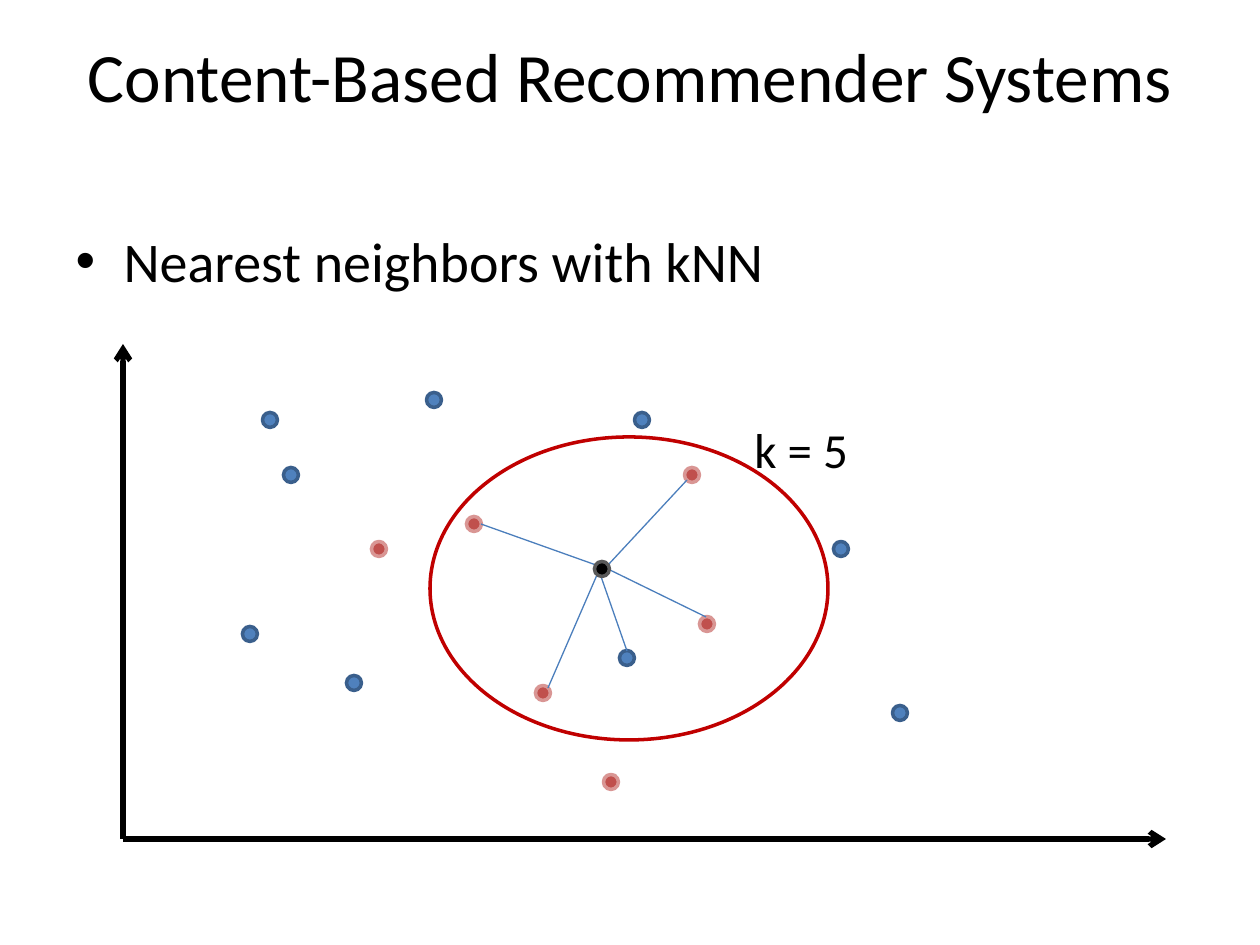
from lxml import etree
from pptx import Presentation
from pptx.dml.color import RGBColor
from pptx.enum.shapes import MSO_CONNECTOR, MSO_SHAPE
from pptx.enum.text import MSO_ANCHOR, PP_ALIGN
from pptx.oxml.ns import qn
from pptx.util import Emu, Pt

LINE = MSO_CONNECTOR.STRAIGHT
OVAL = MSO_SHAPE.OVAL
MIDDLE = MSO_ANCHOR.MIDDLE
LEFT, CENTER = PP_ALIGN.LEFT, PP_ALIGN.CENTER
SCALE = 914400 / 126
FONT = "Calibri"
BLACK = "000000"
BLUE = ("4F81BD", "3A5F8C")
RED = ("C0504D", "D99694")
DARK = (BLACK, "595959")
DOT = 15


def px(n):
    return Emu(round(n * SCALE))


def color(code):
    return RGBColor.from_string(code)


class Page:
    def __init__(self, deck):
        self.slide = deck.slides.add_slide(deck.slide_layouts[1])
        self.shapes = self.slide.shapes

    def place(self, shape, box):
        shape.left, shape.top, shape.width, shape.height = map(px, box)

    def words(self, frame, text, size, align=LEFT):
        frame.word_wrap = True
        para = frame.paragraphs[0]
        para.alignment = align
        para.space_before = Pt(0)
        run = para.add_run()
        run.text = text
        run.font.name = FONT
        run.font.size = Pt(size)
        run.font.color.rgb = color(BLACK)

    def title(self, text, box, size):
        shape = self.shapes.title
        self.place(shape, box)
        shape.text_frame.vertical_anchor = MIDDLE
        self.words(shape.text_frame, text, size, CENTER)

    def body(self, text, box, size):
        shape = self.slide.placeholders[1]
        self.place(shape, box)
        self.words(shape.text_frame, text, size)
        props = shape.text_frame.paragraphs[0]._p.get_or_add_pPr()
        props.set("marL", str(px(48)))
        props.set("indent", str(px(-48)))
        etree.SubElement(props, qn("a:buFont")).set("typeface", "Arial")
        etree.SubElement(props, qn("a:buChar")).set("char", "•")

    def label(self, text, box, size):
        shape = self.shapes.add_textbox(*map(px, box))
        self.words(shape.text_frame, text, size)

    def line(self, start, end, code, width, arrow=False):
        shape = self.shapes.add_connector(LINE, *map(px, start + end))
        shape.line.color.rgb = color(code)
        shape.line.width = Pt(width)
        if arrow:
            edge = shape._element.spPr.find(qn("a:ln"))
            etree.SubElement(edge, qn("a:tailEnd")).set("type", "arrow")
        etree.SubElement(shape._element.spPr, qn("a:effectLst"))

    def oval(self, box, fill, edge):
        shape = self.shapes.add_shape(OVAL, *map(px, box))
        shape.shadow.inherit = False
        if fill:
            shape.fill.solid()
            shape.fill.fore_color.rgb = color(fill)
        else:
            shape.fill.background()
        shape.line.color.rgb = color(edge)
        shape.line.width = Pt(2)

    def dot(self, x, y, style):
        self.oval((x - DOT / 2, y - DOT / 2, DOT, DOT), *style)


def main():
    deck = Presentation()
    deck.slide_width, deck.slide_height = px(1260), px(945)
    page = Page(deck)
    page.title("Content-Based Recommender Systems", (63, -4, 1134, 158), 39.6)
    page.body("Nearest neighbors with kNN", (63, 220, 1134, 624), 32)

    origin = (123, 839)
    for end in ((1166, 839), (123, 344)):
        page.line(origin, end, BLACK, 3, True)

    blues = ((270, 420), (291, 475), (250, 634), (434, 400), (354, 683),
             (900, 713), (627, 658), (841, 549), (642, 420))
    reds = ((474, 524), (692, 475), (611, 782), (707, 624), (543, 693),
            (379, 549))
    for style, spots in ((BLUE, blues), (RED, reds)):
        for x, y in spots:
            page.dot(x, y, style)

    links = (((610, 570), (481, 524)), ((597, 565), (627, 651)),
             ((610, 570), (706, 617)), ((597, 575), (548, 688)),
             ((609, 564), (687, 480)))
    for start, end in links:
        page.line(start, end, "4B7EBC", 0.75)

    page.dot(602, 569, DARK)
    page.oval((430, 437, 398, 303), None, "C00000")
    page.label("k = 5", (742, 413, 236, 72), 28)
    deck.save("out.pptx")


if __name__ == "__main__":
    main()
